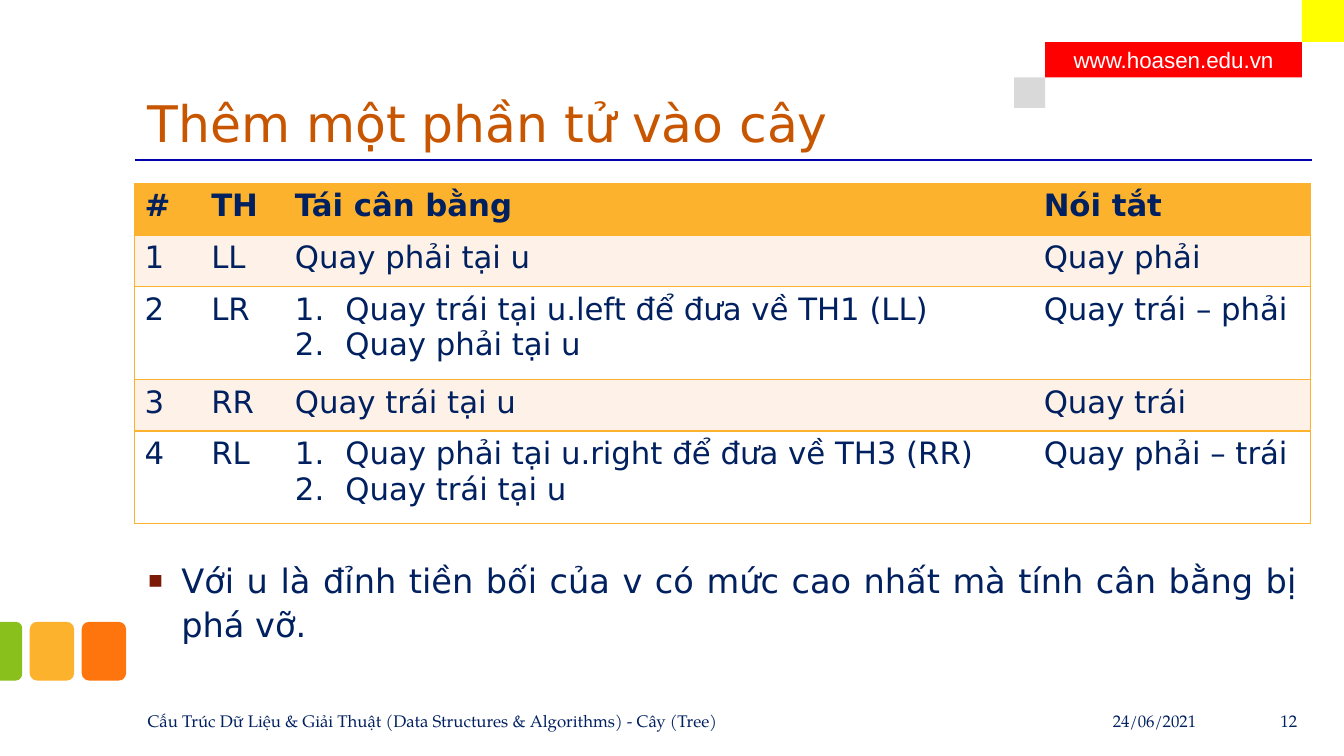
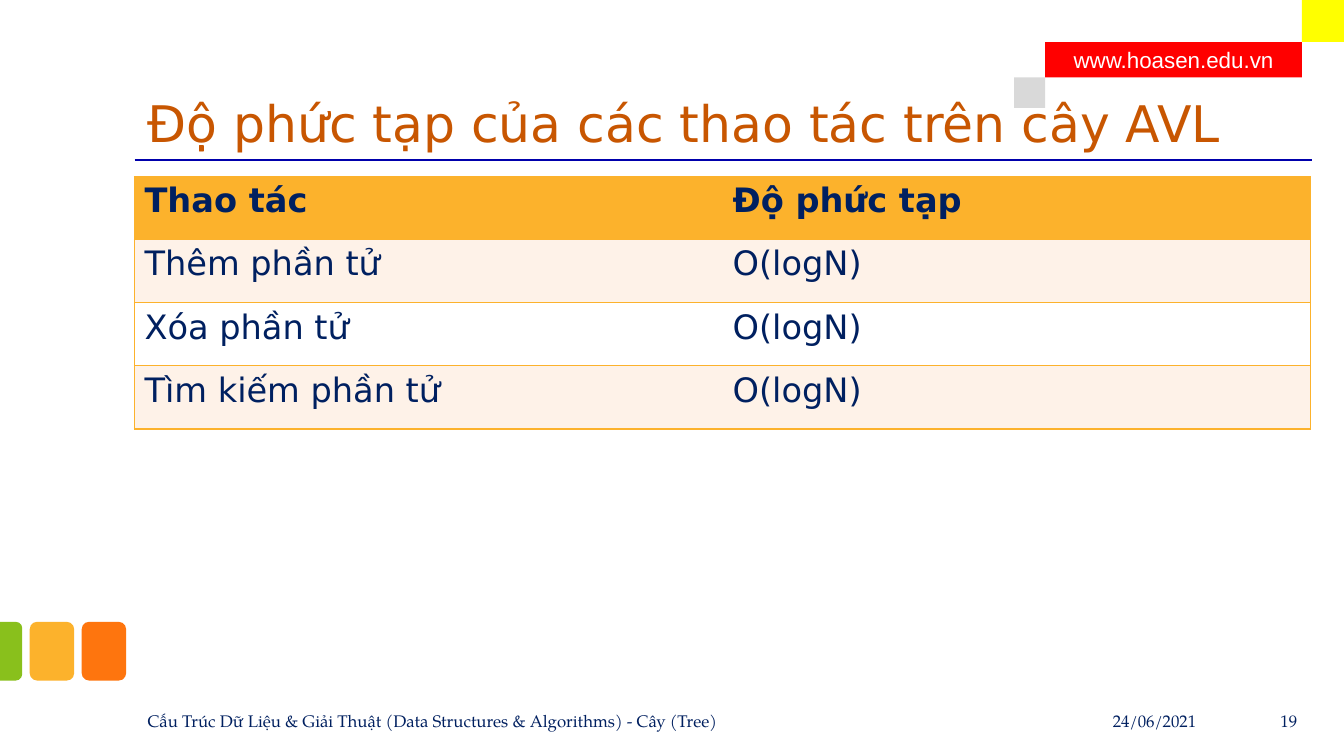
from dataclasses import dataclass

from lxml import etree
from pptx import Presentation
from pptx import util as u
from pptx.dml.color import RGBColor
from pptx.enum import shapes, text
from pptx.oxml import ns

Cm = u.Cm
LEFT, ANCHOR, SHAPE = text.PP_ALIGN.LEFT, text.MSO_ANCHOR, shapes.MSO_SHAPE


@dataclass(frozen=True)
class Theme:
    # Colours
    navy: str = "002060"
    title: str = "C85601"
    rule: str = "0000AC"
    amber: str = "FCB22C"
    orange: str = "FE750E"
    green: str = "89C01C"
    cream: str = "FEF2E8"
    white: str = "FFFFFF"
    red: str = "FF0000"
    grey: str = "D9D9D9"
    yellow: str = "FFFF00"
    bullet: str = "7A1A07"
    # Fonts and sizes
    sans: str = "DejaVu Sans"
    serif: str = "TeX Gyre Pagella"
    web: str = "Arial"
    title_size: int = 36
    body_size: int = 24
    dense_size: int = 22
    web_size: int = 16
    footer_size: int = 12


THEME = Theme()
MARGIN, CONTENT_WIDTH = 3.39, 29.64
FOOTER_TOP, FOOTER_HEIGHT = 17.91, 0.51


# --- Text and bullets ---
def apply(target, formats):
    for name, value in formats.items():
        setattr(target, name, value)


def add_xml(parent, tag, **attributes):
    return etree.SubElement(parent, ns.qn(tag), attributes)


def write(paragraph, words, size, color=THEME.navy, font=THEME.sans, bold=False, align=LEFT):
    paragraph.alignment = align
    run = paragraph.add_run()
    run.text = words
    apply(run.font, {"size": u.Pt(size), "name": font, "bold": bold})
    run.font.color.rgb = RGBColor.from_string(color)


def hang(paragraph, indent):
    properties = paragraph._p.get_or_add_pPr()
    properties.set("marL", str(Cm(indent)))
    properties.set("indent", str(-Cm(indent)))
    return properties


def add_text(slide, box, words, size, anchor=ANCHOR.MIDDLE, **style):
    frame = slide.shapes.add_textbox(*map(Cm, box)).text_frame
    apply(frame, {
        "word_wrap": True, "vertical_anchor": anchor,
        "margin_left": Cm(0.33), "margin_right": Cm(0.33),
        "margin_top": Cm(0.18), "margin_bottom": Cm(0.18),
    })
    paragraph = frame.paragraphs[0]
    write(paragraph, words, size, **style)
    return paragraph


def add_bullet(slide, box, words):
    paragraph = add_text(slide, box, words, THEME.body_size, ANCHOR.TOP,
                         align=text.PP_ALIGN.JUSTIFY)
    properties = hang(paragraph, 0.85)
    add_xml(add_xml(properties, "a:buClr"), "a:srgbClr", val=THEME.bullet)
    add_xml(properties, "a:buSzPct", val="70000")
    add_xml(properties, "a:buFont", typeface=THEME.sans)
    add_xml(properties, "a:buChar", char="▪")
    paragraph.line_spacing = 1.1


# --- Shapes and lines ---
def add_block(slide, kind, box, color):
    block = slide.shapes.add_shape(kind, *map(Cm, box))
    block.shadow.inherit = False
    block.fill.solid()
    block.fill.fore_color.rgb = RGBColor.from_string(color)
    block.line.fill.background()
    return block


def add_rule(slide, left, top, width):
    rule = slide.shapes.add_connector(shapes.MSO_CONNECTOR.STRAIGHT,
                                      Cm(left), Cm(top), Cm(left + width), Cm(top))
    rule.line.color.rgb = RGBColor.from_string(THEME.rule)
    rule.line.width = u.Pt(1.5)
    add_xml(rule._element.spPr, "a:effectLst")


# --- Tables ---
def set_borders(cell, first, last):
    properties = cell._tc.get_or_add_tcPr()
    for side, visible in {"L": first, "R": last, "T": True, "B": True}.items():
        line = add_xml(properties, f"a:ln{side}", w=str(u.Pt(1)))
        if visible:
            add_xml(add_xml(line, "a:solidFill"), "a:srgbClr", val=THEME.amber)
        else:
            add_xml(line, "a:noFill")


def fill_cell(cell, content, size, color, bold):
    """A tuple becomes a numbered list."""
    numbered = isinstance(content, tuple)
    frame = cell.text_frame
    for index, words in enumerate(content if numbered else (content,)):
        paragraph = frame.add_paragraph() if index else frame.paragraphs[0]
        if numbered:
            add_xml(hang(paragraph, 1.27), "a:buAutoNum", type="arabicPeriod")
        write(paragraph, words, size, bold=bold)
    cell.fill.solid()
    cell.fill.fore_color.rgb = RGBColor.from_string(color)


def add_grid(slide, top, widths, heights, rows, size):
    table = slide.shapes.add_table(len(rows), len(widths), Cm(MARGIN), Cm(top),
                                   Cm(sum(widths)), Cm(sum(heights))).table
    for column, width in zip(table.columns, widths):
        column.width = Cm(width)
    for r, (row, height) in enumerate(zip(rows, heights)):
        table.rows[r].height = Cm(height)
        color = THEME.amber if r == 0 else (THEME.white, THEME.cream)[r % 2]
        for c, content in enumerate(row):
            cell = table.cell(r, c)
            set_borders(cell, c == 0, c == len(row) - 1)
            fill_cell(cell, content, size, color, bold=r == 0)


# --- Parts shared by the slides ---
def add_web_banner(slide):
    banner = add_block(slide, SHAPE.RECTANGLE, (26.34, 1.06, 6.47, 0.89), THEME.red)
    banner.text_frame.vertical_anchor = ANCHOR.MIDDLE
    write(banner.text_frame.paragraphs[0], "www.hoasen.edu.vn", THEME.web_size,
          THEME.white, THEME.web, align=text.PP_ALIGN.CENTER)
    add_block(slide, SHAPE.RECTANGLE, (25.56, 1.95, 0.78, 0.77), THEME.grey)
    add_block(slide, SHAPE.RECTANGLE, (32.81, 0, 1.06, 1.06), THEME.yellow)


def add_side_tiles(slide):
    for index, color in enumerate((THEME.amber, THEME.orange)):
        add_block(slide, SHAPE.ROUNDED_RECTANGLE,
                  (0.75 + index * 1.31, 15.67, 1.12, 1.48), color)
    edge_tile = add_block(slide, SHAPE.ROUND_2_SAME_RECTANGLE,
                          (-0.46, 16.13, 1.48, 0.56), THEME.green)
    edge_tile.rotation = 90
    edge_tile.adjustments[0] = 0.29


def add_footer(slide, number):
    course = "Cấu Trúc Dữ Liệu & Giải Thuật (Data Structures & Algorithms) - Cây (Tree)"
    right = text.PP_ALIGN.RIGHT
    for left, width, words, align in (
        (MARGIN, 23.04, course, LEFT),
        (26.52, 3.96, "24/06/2021", right),
        (30.76, 2.26, str(number), right),
    ):
        add_text(slide, (left, FOOTER_TOP, width, FOOTER_HEIGHT), words,
                 THEME.footer_size, font=THEME.serif, align=align)


def start_slide(deck, title, number):
    slide = deck.slides.add_slide(deck.slide_layouts[6])
    add_web_banner(slide)
    add_side_tiles(slide)
    add_rule(slide, MARGIN, 4.03, 29.67)
    add_text(slide, (MARGIN, 0.43, 29.67, 3.6), title, THEME.title_size,
             ANCHOR.BOTTOM, color=THEME.title)
    add_footer(slide, number)
    return slide


# --- Slides ---
def insertion_slide(deck):
    slide = start_slide(deck, "Thêm một phần tử vào cây", 12)
    rows = (
        ("#", "TH", "Tái cân bằng", "Nói tắt"),
        ("1", "LL", "Quay phải tại u", "Quay phải"),
        ("2", "LR", ("Quay trái tại u.left để đưa về TH1 (LL)", "Quay phải tại u"),
         "Quay trái – phải"),
        ("3", "RR", "Quay trái tại u", "Quay trái"),
        ("4", "RL", ("Quay phải tại u.right để đưa về TH3 (RR)", "Quay trái tại u"),
         "Quay phải – trái"),
    )
    add_grid(slide, 4.62, (1.68, 2.11, 18.87, 6.98), (1.3, 1.3, 2.34, 1.3, 2.34),
             rows, THEME.dense_size)
    add_bullet(slide, (MARGIN, 13.82, CONTENT_WIDTH, 3.33),
               "Với u là đỉnh tiền bối của v có mức cao nhất mà tính cân bằng bị phá vỡ.")


def complexity_slide(deck):
    slide = start_slide(deck, "Độ phức tạp của các thao tác trên cây AVL", 19)
    operations = ("Thêm phần tử", "Xóa phần tử", "Tìm kiếm phần tử")
    rows = [("Thao tác", "Độ phức tạp")] + [(name, "O(logN)") for name in operations]
    add_grid(slide, 4.45, [CONTENT_WIDTH / 2] * 2, [1.59] * len(rows),
             rows, THEME.body_size)


def main():
    deck = Presentation()
    apply(deck, {"slide_width": Cm(33.87), "slide_height": Cm(19.05)})
    insertion_slide(deck)
    complexity_slide(deck)
    deck.save("out.pptx")


if __name__ == "__main__":
    main()
